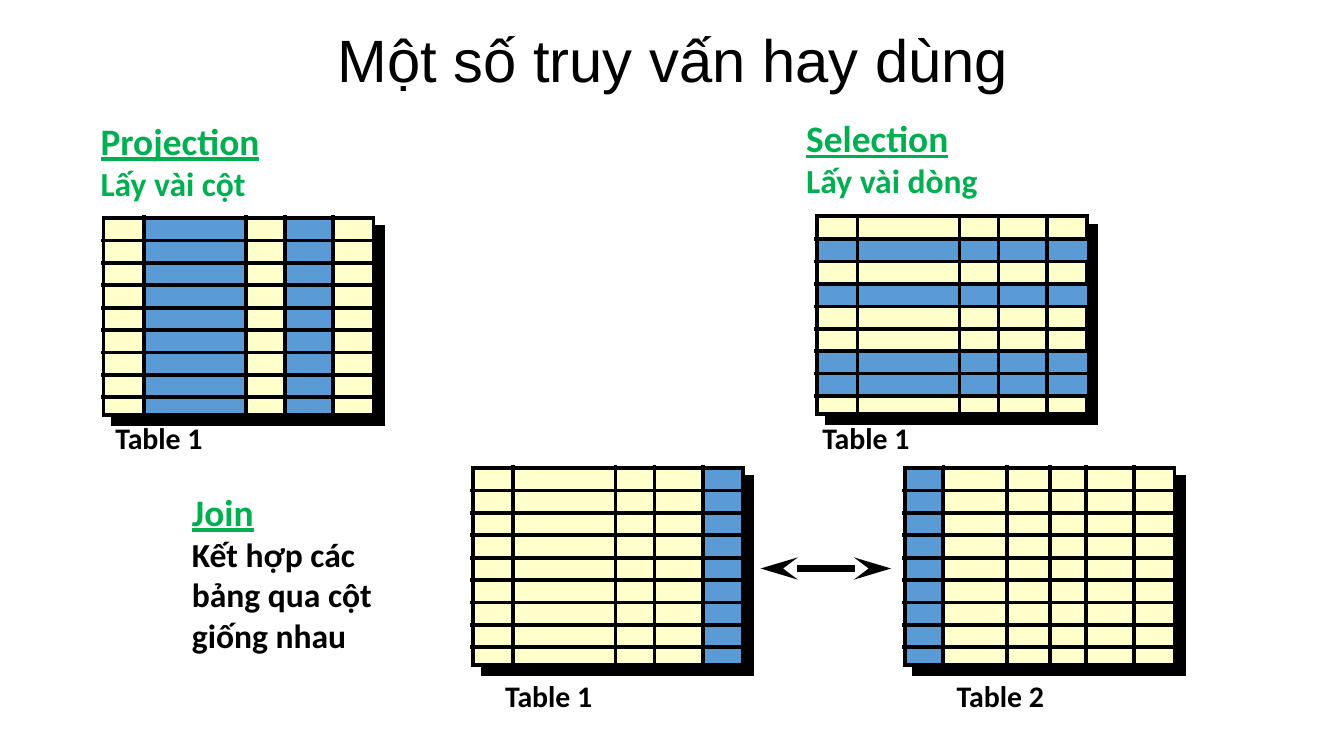
"""Build a slide that shows projection, selection and join on small table drawings."""
from lxml.etree import SubElement
from pptx import Presentation
from pptx.dml.color import RGBColor
from pptx.enum.shapes import MSO_CONNECTOR, MSO_SHAPE
from pptx.enum.text import MSO_ANCHOR, MSO_AUTO_SIZE, PP_ALIGN
from pptx.oxml.ns import qn
from pptx.util import Inches, Pt

BLACK = RGBColor(0x00, 0x00, 0x00)
CREAM = RGBColor(0xFF, 0xFF, 0xCC)
BLUE = RGBColor(0x5B, 0x9B, 0xD5)
GREEN = RGBColor(0x00, 0xB0, 0x50)

WIDE, HIGH = 2.01, 1.47
HEAD, PITCH = 0.17, 1 / 6
OVER = 0.02
CUTS = (0.3, 1.06, 1.35, 1.71)

TITLE = {"name": "Arial", "size": Pt(32)}
TERM = {"name": "Calibri", "size": Pt(20), "bold": True, "underline": True}
NOTE = {"name": "Calibri", "size": Pt(18), "bold": True}
LABEL = {"name": "Calibri", "size": Pt(16), "bold": True}


def add_box(slide, left, top, width, height, fill, weight):
    shape = slide.shapes.add_shape(
        MSO_SHAPE.RECTANGLE, Inches(left), Inches(top), Inches(width), Inches(height))
    shape.shadow.inherit = False
    shape.fill.solid()
    shape.fill.fore_color.rgb = fill
    shape.line.color.rgb = BLACK
    shape.line.width = Pt(weight)
    SubElement(shape.element.spPr.find(qn("a:ln")), qn("a:miter"), lim="800000")
    return shape


def add_shade(shape):
    effects = shape.element.spPr.find(qn("a:effectLst"))
    shade = SubElement(effects, qn("a:outerShdw"), dist=str(Pt(7.1)),
                       dir="2700000", algn="ctr", rotWithShape="0")
    SubElement(shade, qn("a:srgbClr"), val=str(BLACK))


def add_line(slide, start, end, weight=2):
    line = slide.shapes.add_connector(
        MSO_CONNECTOR.STRAIGHT, *(Inches(value) for value in (*start, *end)))
    line.line.color.rgb = BLACK
    line.line.width = Pt(weight)
    SubElement(line.element.spPr, qn("a:effectLst"))
    return line


def add_arrow(slide, start, end):
    line = add_line(slide, start, end, 4)
    for tip in ("a:headEnd", "a:tailEnd"):
        SubElement(line.element.spPr.find(qn("a:ln")), qn(tip),
                   type="stealth", w="med", len="lg")


def add_grid(slide, left, top, cuts=CUTS, cols=(), rows=()):
    add_shade(add_box(slide, left, top, WIDE, HIGH, CREAM, 2))
    edges = (0, *cuts, WIDE)
    for col in cols:
        width = edges[col + 1] - edges[col] - 0.02
        add_box(slide, left + edges[col] + 0.01, top + 0.01, width, 1.45, BLUE, 0.75)
    for row, span in rows:
        add_box(slide, left + 0.01, top + HEAD + (row - 1) * PITCH,
                2, span * PITCH, BLUE, 0.75)
    for cut in cuts:
        x = left + cut
        add_line(slide, (x, top - OVER), (x, top + HIGH + OVER))
    for row in range(8):
        y = top + HEAD + row * PITCH
        add_line(slide, (left - OVER, y), (left + WIDE + OVER, y))


def add_text(slide, left, top, width, height, parts, wrap=False):
    box = slide.shapes.add_textbox(
        Inches(left), Inches(top), Inches(width), Inches(height))
    frame = box.text_frame
    frame.word_wrap = wrap
    frame.auto_size = MSO_AUTO_SIZE.SHAPE_TO_FIT_TEXT
    for index, (text, style, color) in enumerate(parts):
        para = frame.add_paragraph() if index else frame.paragraphs[0]
        run = para.add_run()
        run.text = text
        for key, value in style.items():
            setattr(run.font, key, value)
        run.font.color.rgb = color
    return frame


def add_title(slide, text):
    frame = add_text(slide, 0.02, 0, 9.98, 0.94, [(text, TITLE, BLACK)], True)
    frame.auto_size = MSO_AUTO_SIZE.NONE
    frame.vertical_anchor = MSO_ANCHOR.MIDDLE
    for side in ("left", "top", "right", "bottom"):
        setattr(frame, f"margin_{side}", 0)
    frame.paragraphs[0].alignment = PP_ALIGN.CENTER
    frame.paragraphs[0].line_spacing = 0.9


def main():
    deck = Presentation()
    deck.slide_width, deck.slide_height = Inches(10), Inches(10) * 9 // 16
    slide = deck.slides.add_slide(deck.slide_layouts[6])
    add_title(slide, "Một số truy vấn hay dùng")

    add_grid(slide, 0.77, 1.62, cols=(1, 3))
    add_grid(slide, 6.08, 1.61, rows=((1, 1), (3, 1), (6, 2)))
    add_grid(slide, 3.52, 3.48, cols=(4,))
    add_grid(slide, 6.73, 3.48, cuts=(0.29, 0.76, 1.08, 1.35, 1.71), cols=(0,))
    add_arrow(slide, (5.66, 4.23), (6.63, 4.23))

    for left, top, width, text, wrap in (
            (3.66, 4.99, 0.86, "Table 1", False),
            (7.02, 4.99, 1.93, "Table 2", True),
            (0.76, 3.07, 0.86, "Table 1", False),
            (6.02, 3.07, 0.86, "Table 1", False)):
        add_text(slide, left, top, width, 0.37, [(text, LABEL, BLACK)], wrap)

    for left, top, width, height, term, note, color, wrap in (
            (5.9, 0.81, 1.49, 0.74, "Selection", "Lấy vài dòng", GREEN, False),
            (0.65, 0.83, 1.4, 0.74, "Projection", "Lấy vài cột", GREEN, False),
            (1.33, 3.59, 1.73, 1.35, "Join",
             "Kết hợp các bảng qua cột giống nhau", BLACK, True)):
        parts = [(term, TERM, GREEN), (note, NOTE, color)]
        add_text(slide, left, top, width, height, parts, wrap)

    deck.save("out.pptx")


if __name__ == "__main__":
    main()
